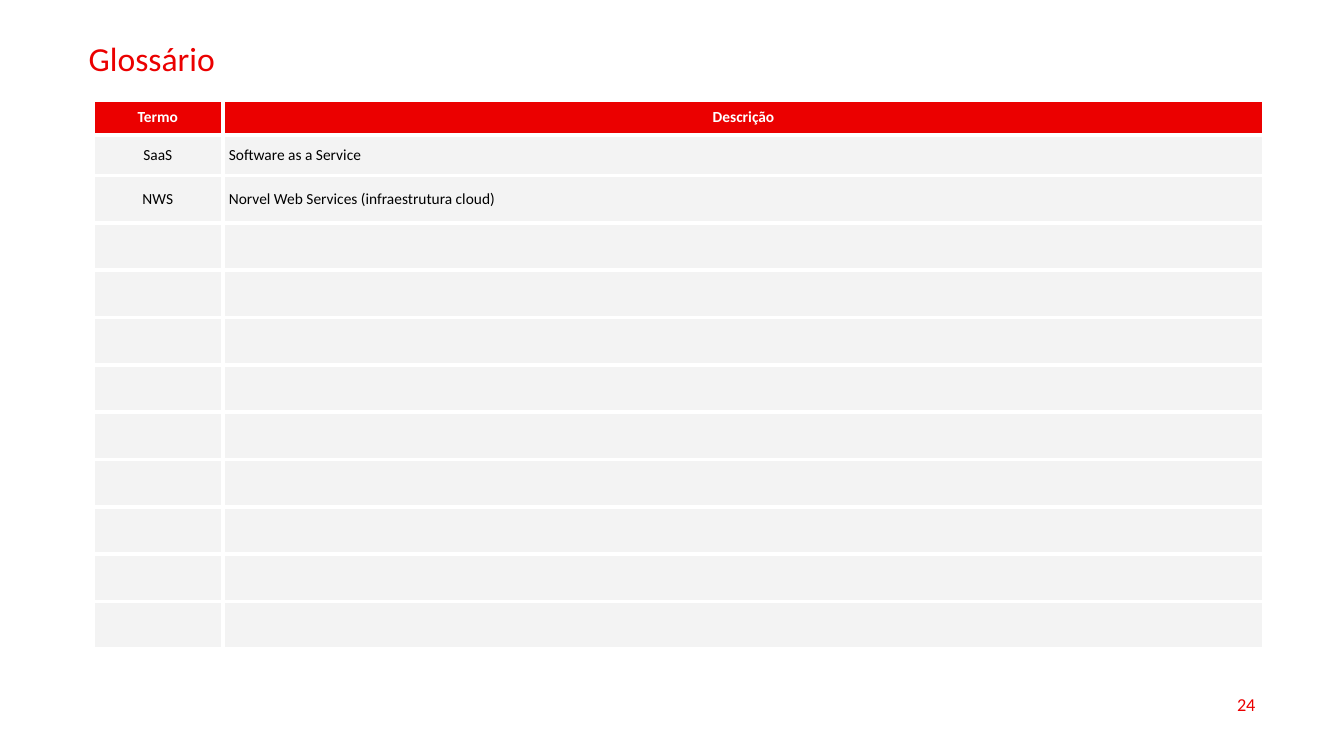
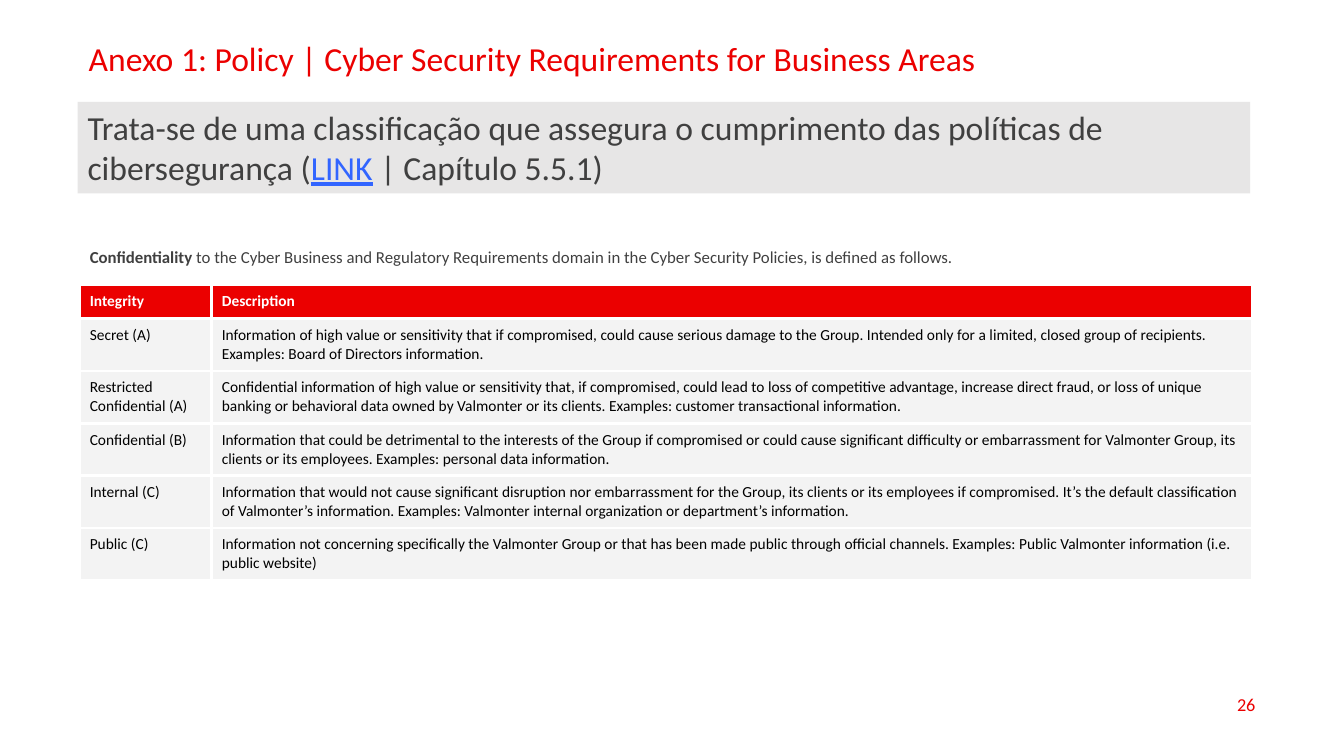
from lxml import etree
from pptx import Presentation
from pptx.dml.color import RGBColor
from pptx.enum.shapes import MSO_SHAPE
from pptx.enum.text import MSO_ANCHOR, MSO_AUTO_SIZE, PP_ALIGN
from pptx.oxml.ns import qn
from pptx.util import Pt

PX = 9144
FONT = "Calibri"
COLORS = {
    "red": "EB0000", "white": "FFFFFF", "black": "000000", "cell": "F3F3F3",
    "banner": "E7E6E6", "text": "404040", "link": "3265FF",
}
TITLE_BOX = (78, 37, 1177, 33)
NUMBER_BOX = (955, 679, 300, 40)
DEFINITION_BOX = (79, 242, 1163, 40)
BANNER_BOX = (77, 101, 1163, 91)

GLOSSARY = {
    "title": "Glossário",
    "number": "24",
    "table": {
        "origin": (92, 99),
        "columns": (129, 1033),
        "heights": [35, 40] + [47] * 10,
        "margins": (6, 0),
        "anchor": MSO_ANCHOR.MIDDLE,
        "header_align": (PP_ALIGN.CENTER, PP_ALIGN.CENTER),
        "body_align": (PP_ALIGN.CENTER, PP_ALIGN.LEFT),
        "border": 3,
        "rows": [
            ("Termo", "Descrição"),
            ("SaaS", "Software as a Service"),
            ("NWS", "Norvel Web Services (infraestrutura cloud)"),
        ] + [("", "")] * 9,
    },
}
POLICY = {
    "title": "Anexo 1: Policy | Cyber Security Requirements for Business Areas",
    "number": "26",
    "table": {
        "origin": (79, 282),
        "columns": (131, 1032),
        "heights": [34] + [52] * 5,
        "margins": (10, 7),
        "anchor": MSO_ANCHOR.TOP,
        "header_align": (PP_ALIGN.LEFT, PP_ALIGN.LEFT),
        "body_align": (PP_ALIGN.LEFT, PP_ALIGN.LEFT),
        "border": 2.25,
        "rows": [
            ("Integrity", "Description"),
            ("Secret (A)",
             "Information of high value or sensitivity that if compromised, could cause serious "
             "damage to the Group. Intended only for a limited, closed group of recipients. "
             "Examples: Board of Directors information."),
            ("Restricted Confidential (A)",
             "Confidential information of high value or sensitivity that, if compromised, could "
             "lead to loss of competitive advantage, increase direct fraud, or loss of unique "
             "banking or behavioral data owned by Valmonter or its clients. "
             "Examples: customer transactional information."),
            ("Confidential (B)",
             "Information that could be detrimental to the interests of the Group if compromised "
             "or could cause significant difficulty or embarrassment for Valmonter Group, its "
             "clients or its employees. Examples: personal data information."),
            ("Internal (C)",
             "Information that would not cause significant disruption nor embarrassment for the "
             "Group, its clients or its employees if compromised. It’s the default classification "
             "of Valmonter’s information. Examples: Valmonter internal organization or "
             "department’s information."),
            ("Public (C)",
             "Information not concerning specifically the Valmonter Group or that has been made "
             "public through official channels. Examples: Public Valmonter information (i.e. "
             "public website)"),
        ],
    },
}
DEFINITION = [
    ("Confidentiality ", {"bold": True}),
    ("to the Cyber Business and Regulatory Requirements domain in the Cyber Security Policies, "
     "is defined as follows.", {}),
]
BANNER = [
    ("Trata-se de uma classificação que assegura o cumprimento das políticas de "
     "cibersegurança (", {}),
    ("LINK", {"color": "link", "underline": True}),
    (" | Capítulo 5.5.1)", {}),
]


def px(*lengths):
    return [length * PX for length in lengths]


def rgb(name):
    return RGBColor.from_string(COLORS[name])


def add_span(para, text, size, color, bold=False, underline=False):
    span = para.add_run()
    span.text = text
    font = span.font
    font.name, font.size, font.bold, font.underline = FONT, Pt(size), bold, underline
    font.color.rgb = rgb(color)


def write(frame, spans, size, color, align=PP_ALIGN.LEFT, anchor=MSO_ANCHOR.TOP):
    frame.word_wrap = True
    frame.auto_size = MSO_AUTO_SIZE.NONE
    frame.vertical_anchor = anchor
    para = frame.paragraphs[0]
    para.alignment = align
    for text, style in spans:
        add_span(para, text, size, **{"color": color, **style})
    return para


def place(shape, bounds):
    shape.left, shape.top, shape.width, shape.height = px(*bounds)


def fill_placeholder(shape, bounds, spans, size, color):
    place(shape, bounds)
    para = write(shape.text_frame, spans, size, color)
    para.line_spacing = 0.9
    para.space_before = Pt(0)
    properties = para._p.get_or_add_pPr()
    properties.set("marL", "0")
    properties.set("indent", "0")
    etree.SubElement(properties, qn("a:buNone"))


def set_borders(cell, width):
    properties = cell._tc.get_or_add_tcPr()
    for side in ("lnL", "lnR", "lnT", "lnB"):
        line = etree.SubElement(properties, qn(f"a:{side}"), w=str(Pt(width)))
        fill = etree.SubElement(line, qn("a:solidFill"))
        etree.SubElement(fill, qn("a:srgbClr"), val=COLORS["white"])


def add_grid(page, grid):
    rows, columns, heights = grid["rows"], grid["columns"], grid["heights"]
    bounds = px(*grid["origin"], sum(columns), sum(heights))
    table = page.shapes.add_table(len(rows), len(columns), *bounds).table
    table.horz_banding = False
    for column, width in zip(table.columns, px(*columns)):
        column.width = width
    for row, height in zip(table.rows, px(*heights)):
        row.height = height
    side, edge = px(*grid["margins"])
    for row_index, texts in enumerate(rows):
        header = row_index == 0
        aligns = grid["header_align" if header else "body_align"]
        for column_index, text in enumerate(texts):
            cell = table.cell(row_index, column_index)
            cell.margin_left = cell.margin_right = side
            cell.margin_top = cell.margin_bottom = edge
            cell.vertical_anchor = grid["anchor"]
            set_borders(cell, grid["border"])
            cell.fill.solid()
            cell.fill.fore_color.rgb = rgb("red" if header else "cell")
            if text:
                para = cell.text_frame.paragraphs[0]
                para.alignment = aligns[column_index]
                add_span(para, text, 11, "white" if header else "black", bold=header)


def add_page(deck, layout_index, content):
    page = deck.slides.add_slide(deck.slide_layouts[layout_index])
    fill_placeholder(page.shapes.title, TITLE_BOX, [(content["title"], {})], 24, "red")
    add_grid(page, content["table"])
    number = page.shapes.add_textbox(*px(*NUMBER_BOX))
    write(number.text_frame, [(content["number"], {})], 13, "red",
          PP_ALIGN.RIGHT, MSO_ANCHOR.MIDDLE)
    return page


def add_banner(page):
    banner = page.shapes.add_shape(MSO_SHAPE.RECTANGLE, *px(*BANNER_BOX))
    banner.shadow.inherit = False
    banner.fill.solid()
    banner.fill.fore_color.rgb = rgb("banner")
    banner.line.fill.background()
    write(banner.text_frame, BANNER, 24, "text")


def main():
    deck = Presentation()
    deck.slide_width, deck.slide_height = px(1333, 750)
    add_page(deck, 5, GLOSSARY)
    policy_page = add_page(deck, 1, POLICY)
    fill_placeholder(policy_page.placeholders[1], DEFINITION_BOX, DEFINITION, 12, "text")
    add_banner(policy_page)
    deck.save("out.pptx")


if __name__ == "__main__":
    main()
